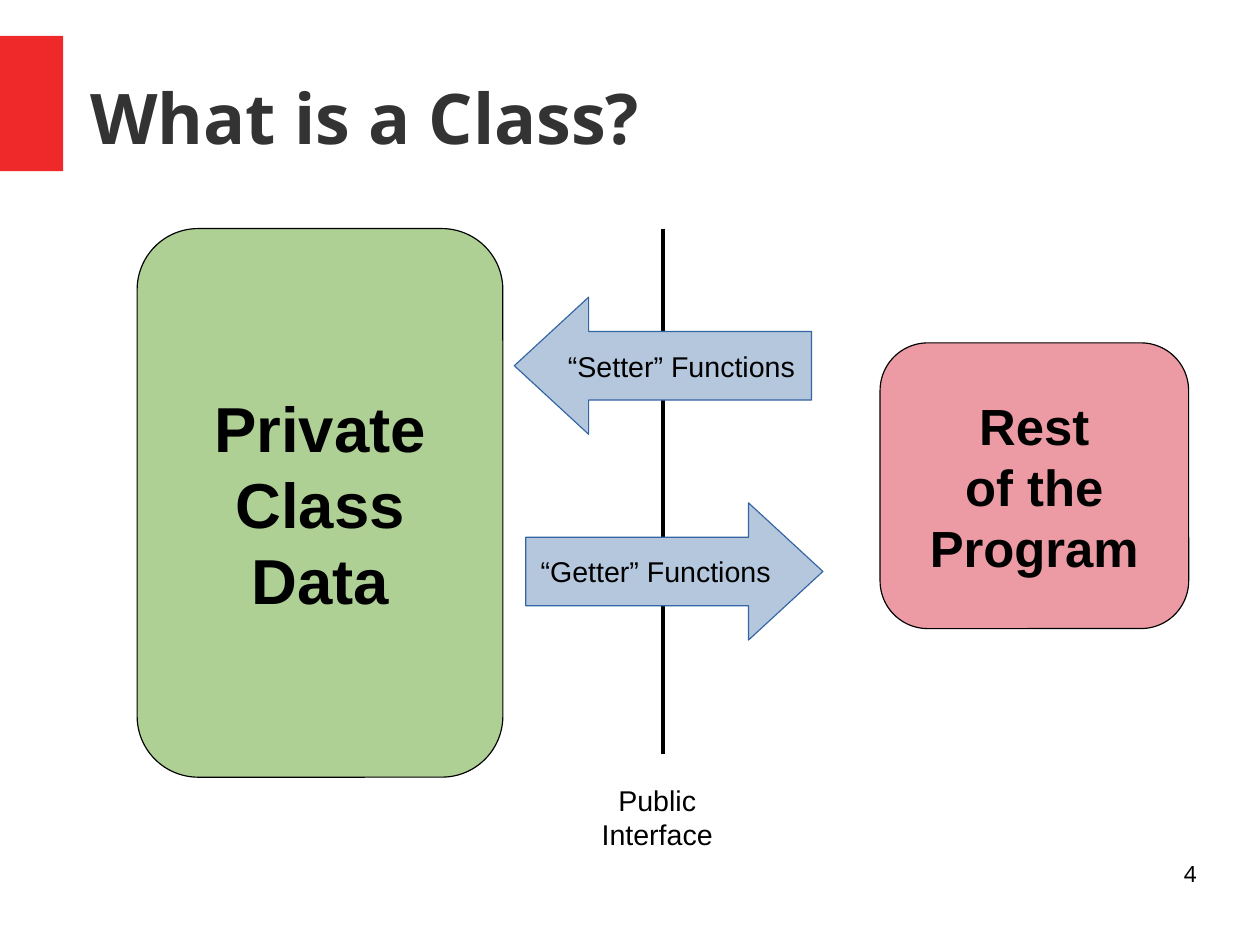
import pptx
import pptx.util
import pptx.dml.color
import pptx.enum.shapes
import pptx.enum.text
import lxml.etree

Pt = pptx.util.Pt
RGBColor = pptx.dml.color.RGBColor
Kind = pptx.enum.shapes.MSO_SHAPE
Align = pptx.enum.text.PP_ALIGN
Anchor = pptx.enum.text.MSO_ANCHOR
Fit = pptx.enum.text.MSO_AUTO_SIZE

RED = RGBColor(0xEF, 0x29, 0x29)
GREEN = RGBColor(0xAF, 0xD0, 0x95)
PINK = RGBColor(0xEC, 0x9B, 0xA4)
BLUE = RGBColor(0xB4, 0xC7, 0xDC)
NAVY = RGBColor(0x34, 0x65, 0xA4)
BLACK = RGBColor(0, 0, 0)
GREY = RGBColor(0x33, 0x33, 0x33)


def write(shape, text, face, size, color, bold=False, align=Align.CENTER,
          anchor=Anchor.MIDDLE, wrap=False, pad=(7.2, 3.6)):
    frame = shape.text_frame
    frame.text = text
    side, edge = map(Pt, pad)
    form = {"auto_size": Fit.NONE, "word_wrap": wrap, "vertical_anchor": anchor,
            "margin_left": side, "margin_right": side,
            "margin_top": edge, "margin_bottom": edge}
    for key, value in form.items():
        setattr(frame, key, value)
    for para in frame.paragraphs:
        para.alignment = align
        for key, value in {"name": face, "size": Pt(size), "bold": bold}.items():
            setattr(para.font, key, value)
        para.font.color.rgb = color


def draw(kind, box, fill, edge=None):
    shape = slide.shapes.add_shape(kind, *map(Pt, box))
    shape.shadow.inherit = False
    shape.fill.solid()
    shape.fill.fore_color.rgb = fill
    if edge is None:
        shape.line.fill.background()
    else:
        shape.line.color.rgb = edge
        shape.line.width = Pt(0)
    return shape


deck = pptx.Presentation()
deck.slide_width = Pt(793.7)
deck.slide_height = Pt(595.28)
slide = deck.slides.add_slide(deck.slide_layouts[5])

draw(Kind.RECTANGLE, (0, 22.6, 39.8, 85.2), RED)

title = slide.shapes.title
place = {"left": 56.7, "top": 23.8, "width": 697, "height": 99.4}
for key, value in place.items():
    setattr(title, key, Pt(value))
write(title, "What is a Class?", "Noto Sans", 44, GREY, bold=True,
      align=Align.LEFT, wrap=True, pad=(0, 0))

border = slide.shapes.add_connector(
    pptx.enum.shapes.MSO_CONNECTOR.STRAIGHT, Pt(417.6), Pt(144), Pt(417.6), Pt(475.2))
border.line.color.rgb = BLACK
border.line.width = Pt(3)
lxml.etree.SubElement(border.element.spPr, pptx.oxml.ns.qn("a:effectLst"))

label = slide.shapes.add_textbox(Pt(367.2), Pt(489.6), Pt(93.6), Pt(50.4))
write(label, "Public\nInterface", "Arial", 18, BLACK, anchor=Anchor.TOP, wrap=True)

blocks = [
    (Kind.ROUNDED_RECTANGLE, (86.4, 144, 230.4, 345.6), GREEN, BLACK, [0.167],
     "Private\nClass\nData", 40, True),
    (Kind.LEFT_ARROW, (324, 187.2, 187.2, 86.4), BLUE, NAVY, [0.5, 0.542],
     "“Setter” Functions", 18, False),
    (Kind.RIGHT_ARROW, (331.2, 316.8, 187.2, 86.4), BLUE, NAVY, [0.5, 0.542],
     "“Getter” Functions", 18, False),
    (Kind.ROUNDED_RECTANGLE, (554.4, 216, 194.4, 180), PINK, BLACK, [0.167],
     "Rest\nof the\nProgram", 32, True),
]
for kind, box, fill, edge, bends, text, size, bold in blocks:
    block = draw(kind, box, fill, edge)
    for rank, bend in enumerate(bends):
        block.adjustments[rank] = bend
    write(block, text, "Arial", size, BLACK, bold)

page = slide.shapes.add_textbox(Pt(568.8), Pt(542.2), Pt(185), Pt(41))
write(page, "4", "Noto Sans", 14, BLACK, align=Align.RIGHT,
      anchor=Anchor.TOP, wrap=True, pad=(0, 0))

deck.save("out.pptx")
